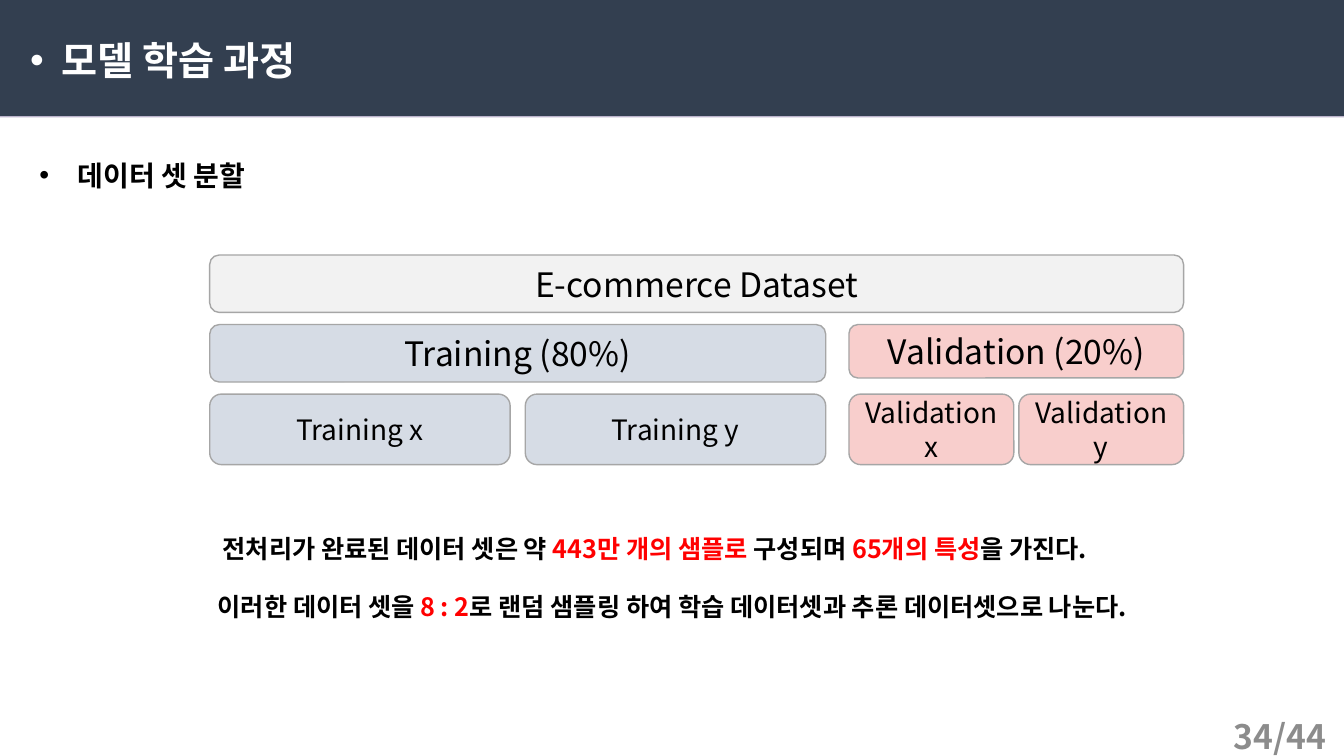
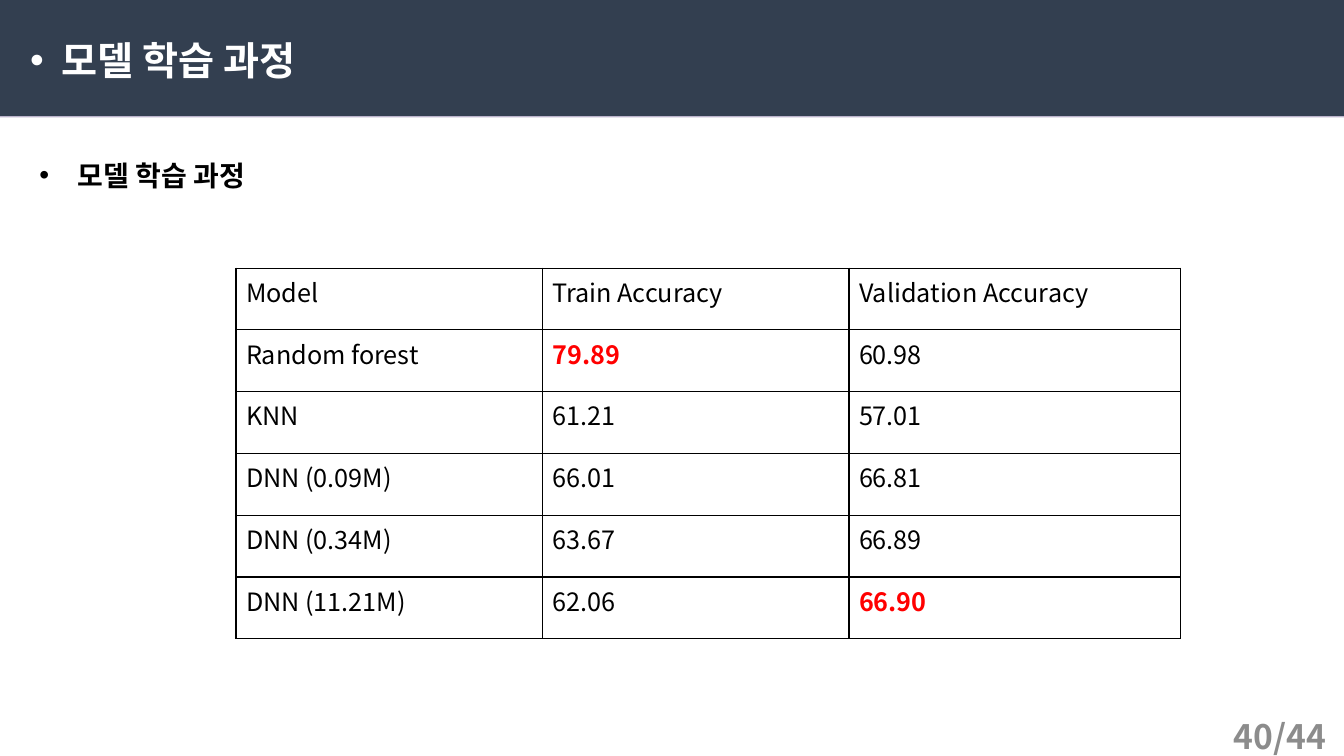
from lxml.etree import SubElement
from pptx import Presentation
from pptx.dml.color import RGBColor
from pptx.enum.shapes import MSO_SHAPE
from pptx.enum.text import MSO_ANCHOR, PP_ALIGN
from pptx.oxml import parse_xml
from pptx.oxml.ns import nsdecls, qn
from pptx.util import Inches, Pt

THEME = {
    "font": "Noto Sans CJK KR",
    "band": "333F50", "band_edge": "BBB3CB",
    "ink": "000000", "paper": "FFFFFF", "accent": "FF0000", "page": "8C8C8C",
    "whole": "F2F2F2", "training": "D6DCE5", "validation": "F8CECC", "outline": "A6A6A6",
    "title_pt": 28, "heading_pt": 20, "part_pt": 24, "half_pt": 20,
    "body_pt": 18, "page_pt": 24,
}
MARGINS = ("margin_left", "margin_top", "margin_right", "margin_bottom")


def write(frame, pieces, size, bold=False, align=PP_ALIGN.LEFT, hang=None, **frame_format):
    """Fill a text frame with one paragraph of (text, colour name) pieces."""
    for name, value in {"word_wrap": True, **frame_format}.items():
        setattr(frame, name, value)
    paragraph = frame.paragraphs[0]
    paragraph.alignment = align
    if hang:
        properties = paragraph._p.get_or_add_pPr()
        properties.set("marL", str(Inches(hang)))
        properties.set("indent", str(-Inches(hang)))
        SubElement(properties, qn("a:buFont"), typeface="Arial")
        SubElement(properties, qn("a:buChar"), char="•")
    for text, color in pieces:
        run = paragraph.add_run()
        run.text = text
        run.font.color.rgb = RGBColor.from_string(THEME[color])
        font_format = {"name": THEME["font"], "size": Pt(THEME[size]), "bold": bold}
        for name, value in font_format.items():
            setattr(run.font, name, value)
        SubElement(run._r.get_or_add_rPr(), qn("a:ea"), typeface=THEME["font"])


def add_box(slide, shape_type, place, fill, outline=None):
    """Add a filled shape without the default shadow."""
    box = slide.shapes.add_shape(shape_type, *map(Inches, place))
    box.shadow.inherit = False
    box.fill.solid()
    box.fill.fore_color.rgb = RGBColor.from_string(THEME[fill])
    if outline:
        box.line.color.rgb = RGBColor.from_string(THEME[outline])
        box.line.width = Pt(1)
    else:
        box.line.fill.background()
    return box


deck = Presentation()
deck.slide_width, deck.slide_height = Inches(13.33), Inches(7.5)
no_margins = dict.fromkeys(MARGINS, 0)

# Shared frame: band, heading, title, page number
slides = []
for heading, page in (("데이터 셋 분할", "34/44"), ("모델 학습 과정", "40/44")):
    slide = deck.slides.add_slide(deck.slide_layouts[6])
    slides.append(slide)
    band = add_box(slide, MSO_SHAPE.RECTANGLE, (0, 0, 13.33, 1.15), "band")
    edge = SubElement(band._element.spPr.find(qn("a:effectLst")), qn("a:outerShdw"),
                      blurRad="0", dist=str(Pt(1)), dir="5400000", algn="t", rotWithShape="0")
    SubElement(edge, qn("a:srgbClr"), val=THEME["band_edge"])

    heading_box = slide.shapes.add_textbox(*map(Inches, (0.39, 1.57, 3.94, 0.34)))
    write(heading_box.text_frame, [(heading, "ink")], "heading_pt", True, hang=0.38, **no_margins)
    title_box = slide.shapes.add_textbox(*map(Inches, (0.2, 0.31, 4.33, 0.57)))
    write(title_box.text_frame, [("모델 학습 과정", "paper")], "title_pt", True, hang=0.31)
    page_box = slide.shapes.add_textbox(*map(Inches, (10.25, 7.1, 3, 0.4)))
    write(page_box.text_frame, [(page, "page")], "page_pt", True, PP_ALIGN.RIGHT,
          vertical_anchor=MSO_ANCHOR.MIDDLE)
split_slide, results_slide = slides

# Dataset split: the whole, its two parts, and the x and y half of each part
split_left, split_width = 2.08, 9.66
validation_width = 3.32
validation_left = split_left + split_width - validation_width
blocks = [("E-commerce Dataset", (split_left, 2.53, split_width, 0.57), "whole", "part_pt")]
for part, share, left, width, height, gap in (
    ("Training", "80%", split_left, 6.11, 0.57, 0.15),
    ("Validation", "20%", validation_left, validation_width, 0.53, 0.05),
):
    color = part.lower()
    blocks.append((f"{part} ({share})", (left, 3.22, width, height), color, "part_pt"))
    half = (width - gap) / 2
    for column, axis in enumerate("xy"):
        place = (left + column * (half + gap), 3.91, half, 0.7)
        blocks.append((f"{part} {axis}", place, color, "half_pt"))
for label, place, color, size in blocks:
    block = add_box(split_slide, MSO_SHAPE.ROUNDED_RECTANGLE, place, color, "outline")
    write(block.text_frame, [(label, "ink")], size, align=PP_ALIGN.CENTER,
          vertical_anchor=MSO_ANCHOR.MIDDLE)

# Explanation below the split
sentences = (
    (2.21, 5.29, [("전처리가 완료된 데이터 셋은 약 ", "ink"), ("443만 개의 샘플로 ", "accent"),
                  ("구성되며 ", "ink"), ("65개의 특성", "accent"), ("을 가진다.", "ink")]),
    (2.16, 5.87, [("이러한 데이터 셋을 ", "ink"), ("8 : 2", "accent"),
                  ("로 랜덤 샘플링 하여 학습 데이터셋과 추론 데이터셋으로 나눈다.", "ink")]),
)
for left, top, pieces in sentences:
    sentence_box = split_slide.shapes.add_textbox(*map(Inches, (left, top, split_width, 0.3)))
    write(sentence_box.text_frame, pieces, "body_pt", True, **no_margins)

# Accuracy table, best value of each column highlighted
accuracy_rows = (
    ("Model", "Train Accuracy", "Validation Accuracy"),
    ("Random forest", "79.89", "60.98"),
    ("KNN", "61.21", "57.01"),
    ("DNN (0.09M)", "66.01", "66.81"),
    ("DNN (0.34M)", "63.67", "66.89"),
    ("DNN (11.21M)", "62.06", "66.90"),
)
best_values = {max(column[1:], key=float) for column in list(zip(*accuracy_rows))[1:]}
accuracy = results_slide.shapes.add_table(
    len(accuracy_rows), 3, *map(Inches, (2.34, 2.66, 9.36, 3.68))).table
accuracy.first_row = accuracy.horz_banding = False
for column, width in zip(accuracy.columns, (3.04, 3.04, 3.29)):
    column.width = Inches(width)
for row, values in enumerate(accuracy_rows):
    for column, value in enumerate(values):
        cell = accuracy.cell(row, column)
        cell.fill.solid()
        cell.fill.fore_color.rgb = RGBColor.from_string(THEME["paper"])
        best = value in best_values
        write(cell.text_frame, [(value, "accent" if best else "ink")], "body_pt", best)
        for order, side in enumerate("LRTB"):
            cell._tc.get_or_add_tcPr().insert(order, parse_xml(
                f'<a:ln{side} {nsdecls("a")} w="{Pt(1)}"><a:solidFill>'
                f'<a:srgbClr val="{THEME["ink"]}"/></a:solidFill></a:ln{side}>'))

deck.save("out.pptx")
